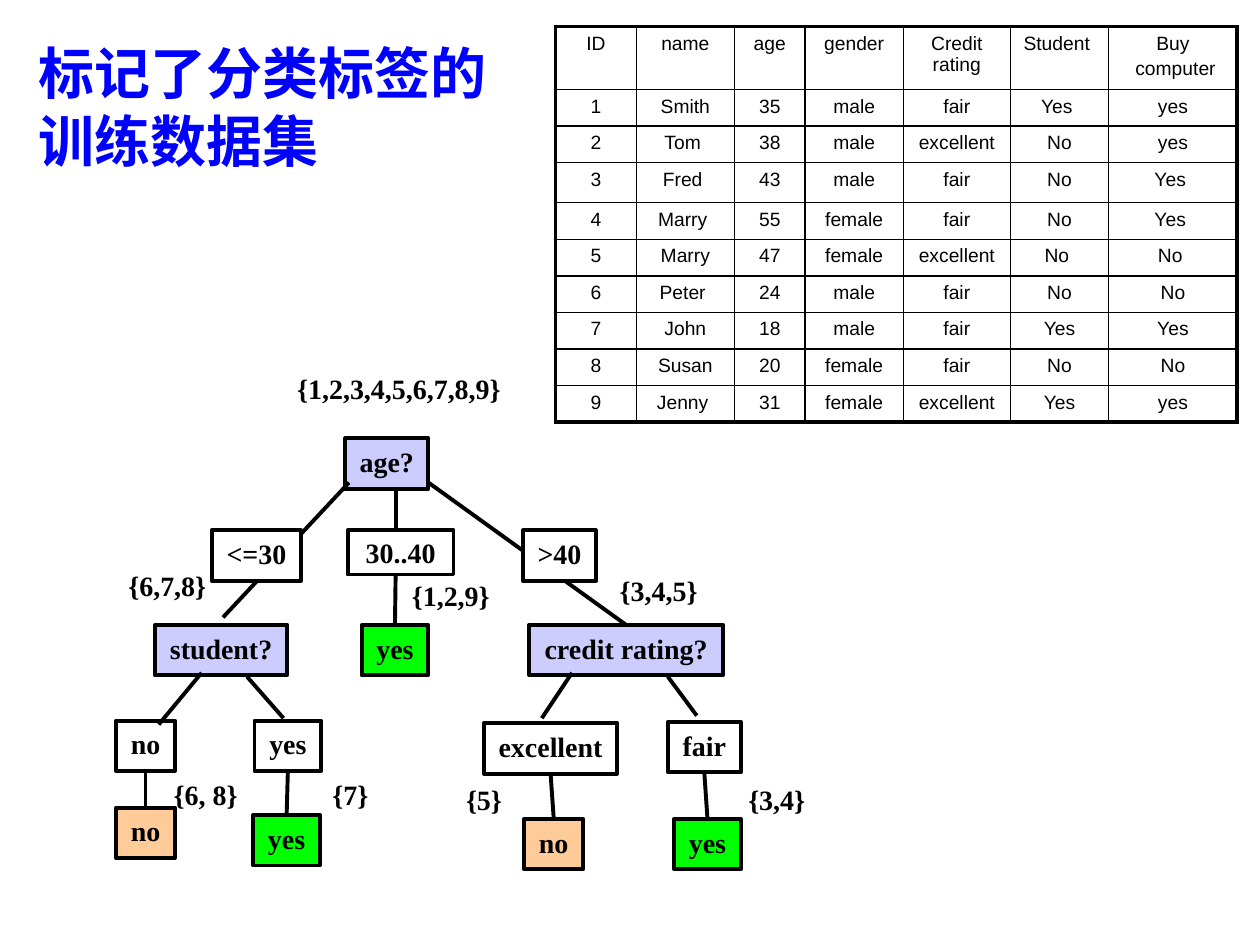
from dataclasses import dataclass
from typing import NamedTuple, Optional

from lxml.etree import SubElement
from pptx import Presentation
from pptx.dml.color import RGBColor
from pptx.enum.shapes import MSO_CONNECTOR, MSO_SHAPE
from pptx.enum.text import MSO_ANCHOR, MSO_AUTO_SIZE, PP_ALIGN
from pptx.oxml import parse_xml
from pptx.oxml.ns import nsdecls, qn
from pptx.util import Inches, Pt


@dataclass(frozen=True)
class Theme:
    black: str = "000000"
    white: str = "FFFFFF"
    title: str = "0000FF"
    question: str = "CCCCFF"
    negative: str = "FFCC99"
    positive: str = "00FF00"
    title_font: str = "Noto Sans CJK JP"
    tree_font: str = "Times New Roman"
    table_font: str = "Arial"
    title_size: float = 32
    title_leading: float = 38.9
    tree_size: float = 16
    table_size: float = 11
    thick: float = 2.25
    thin: float = 1


THEME = Theme()
TOP, BOTTOM = 0, 2


class Node(NamedTuple):
    key: str
    text: str
    left: float
    top: float
    width: float
    fill: Optional[str] = None
    height: float = 0.4
    anchor: MSO_ANCHOR = MSO_ANCHOR.TOP


class Branch(NamedTuple):
    start: tuple
    end: tuple
    parent: Optional[str] = None
    child: Optional[str] = None


class Label(NamedTuple):
    text: str
    left: float
    top: float
    width: float


NODES = [
    Node("age", "age?", 2.74, 3.48, 0.66, THEME.question),
    Node("student", "student?", 1.23, 4.96, 1.05, THEME.question),
    Node("credit", "credit rating?", 4.2, 4.96, 1.54, THEME.question),
    Node("student no", "no", 0.92, 5.72, 0.47),
    Node("student yes", "yes", 2.02, 5.72, 0.53),
    Node("fair", "fair", 5.3, 5.73, 0.58),
    Node("excellent", "excellent", 3.84, 5.74, 1.06),
    Node("student no leaf", "no", 0.92, 6.41, 0.47, THEME.negative),
    Node("excellent leaf", "no", 4.16, 6.5, 0.47, THEME.negative),
    Node("student yes leaf", "yes", 2.01, 6.47, 0.53, THEME.positive),
    Node("fair leaf", "yes", 5.35, 6.5, 0.53, THEME.positive),
    Node("middle leaf", "yes", 2.87, 4.96, 0.53, THEME.positive),
]

# These lie over the long branches
AGE_RANGES = [
    Node("young", "<=30", 1.68, 4.21, 0.71, THEME.white),
    Node("older", ">40", 4.15, 4.21, 0.58, THEME.white),
    Node("middle", "30..40", 2.76, 4.21, 0.84, THEME.white, 0.35, MSO_ANCHOR.MIDDLE),
]

BRANCHES = [
    Branch((2.77, 3.83), (1.77, 4.9)),
    Branch((3.14, 3.9), (3.14, 4.33)),
    Branch((3.4, 3.83), (4.94, 4.95), child="credit"),
    Branch((1.6, 5.34), (1.26, 5.75)),
    Branch((1.96, 5.37), (2.25, 5.7)),
    Branch((4.54, 5.34), (4.3, 5.7)),
    Branch((5.3, 5.37), (5.53, 5.68)),
    Branch((3.14, 4.57), (3.14, 4.92), child="middle leaf"),
    Branch((1.15, 6.12), (1.15, 6.41), "student no", "student no leaf"),
    Branch((5.62, 6.13), (5.62, 6.5), "fair", "fair leaf"),
    Branch((4.39, 6.14), (4.39, 6.5), "excellent", "excellent leaf"),
    Branch((2.28, 6.12), (2.28, 6.47), "student yes", "student yes leaf"),
]

LABELS = [
    Label("{1,2,3,4,5,6,7,8,9}", 2.26, 2.9, 1.82),
    Label("{6,7,8}", 0.92, 4.46, 0.82),
    Label("{1,2,9}", 3.17, 4.54, 0.82),
    Label("{3,4,5}", 4.82, 4.5, 0.82),
    Label("{6, 8}", 1.28, 6.12, 0.71),
    Label("{7}", 2.54, 6.12, 0.49),
    Label("{3,4}", 5.84, 6.16, 0.65),
    Label("{5}", 3.6, 6.16, 0.49),
]

COLUMN_WIDTHS = [0.64, 0.78, 0.56, 0.78, 0.85, 0.78, 1.02]
ROW_HEIGHTS = [0.5] + [0.29] * 2 + [0.32] + [0.29] * 6
RECORDS = [
    ("ID", "name", "age", "gender", "Credit rating", "Student ", "Buy\n computer"),
    ("1", "Smith", "35", "male", "fair", "Yes ", "yes"),
    ("2", "Tom ", "38", "male", "excellent", "No", "yes"),
    ("3", "Fred ", "43", "male", "fair", "No", "Yes "),
    ("4", "Marry ", "55", "female", "fair", "No", "Yes "),
    ("5", "Marry", "47", "female", "excellent", "No ", "No "),
    ("6", "Peter ", "24", "male", "fair", "No", "No"),
    ("7", "John", "18", "male", "fair", "Yes", "Yes"),
    ("8", "Susan", "20", "female", "fair", "No", "No"),
    ("9", "Jenny ", "31", "female", "excellent", "Yes", "yes"),
]


def color(value: str) -> RGBColor:
    return RGBColor.from_string(value)


def style_paragraph(paragraph, font_name: str, size: float, value: str, bold: bool, align) -> None:
    font = paragraph.font
    font.name, font.size, font.bold = font_name, Pt(size), bold
    font.color.rgb = color(value)
    paragraph.alignment = align


def write_tree_text(shape, text: str, align) -> None:
    frame = shape.text_frame
    frame.text, frame.word_wrap = text, False
    style_paragraph(frame.paragraphs[0], THEME.tree_font, THEME.tree_size, THEME.black, True, align)


def draw_node(slide, node: Node):
    shape = slide.shapes.add_shape(
        MSO_SHAPE.RECTANGLE, Inches(node.left), Inches(node.top), Inches(node.width), Inches(node.height))
    shape.shadow.inherit = False
    if node.fill:
        shape.fill.solid()
        shape.fill.fore_color.rgb = color(node.fill)
    else:
        shape.fill.background()
    shape.line.color.rgb, shape.line.width = color(THEME.black), Pt(THEME.thick)
    write_tree_text(shape, node.text, PP_ALIGN.CENTER)
    shape.text_frame.vertical_anchor = node.anchor
    return shape


def draw_branch(slide, branch: Branch, shapes: dict) -> None:
    connector = slide.shapes.add_connector(
        MSO_CONNECTOR.STRAIGHT, *(Inches(value) for value in branch.start + branch.end))
    connector.line.color.rgb, connector.line.width = color(THEME.black), Pt(THEME.thick)
    SubElement(connector._element.spPr, qn("a:effectLst"))
    if branch.parent:
        connector.begin_connect(shapes[branch.parent], BOTTOM)
    if branch.child:
        connector.end_connect(shapes[branch.child], TOP)


def draw_label(slide, label: Label) -> None:
    box = slide.shapes.add_textbox(Inches(label.left), Inches(label.top), Inches(label.width), Inches(0.37))
    write_tree_text(box, label.text, PP_ALIGN.LEFT)


def set_borders(cell, row: int, column: int) -> None:
    outer = {"L": column == 0, "R": column == len(COLUMN_WIDTHS) - 1,
             "T": row == 0, "B": row == len(RECORDS) - 1}
    properties = cell._tc.get_or_add_tcPr()
    for index, (side, is_outer) in enumerate(outer.items()):
        width = Pt(THEME.thick if is_outer else THEME.thin)
        properties.insert(index, parse_xml(
            f'<a:ln{side} {nsdecls("a")} w="{width}"><a:solidFill>'
            f'<a:srgbClr val="{THEME.black}"/></a:solidFill></a:ln{side}>'))


def draw_table(slide) -> None:
    table = slide.shapes.add_table(
        len(RECORDS), len(COLUMN_WIDTHS), Inches(4.41), Inches(0.21),
        Inches(sum(COLUMN_WIDTHS)), Inches(sum(ROW_HEIGHTS))).table
    table.first_row = table.horz_banding = False
    for column, width in zip(table.columns, COLUMN_WIDTHS):
        column.width = Inches(width)
    for row_index, (record, height) in enumerate(zip(RECORDS, ROW_HEIGHTS)):
        table.rows[row_index].height = Inches(height)
        for column_index, text in enumerate(record):
            cell = table.cell(row_index, column_index)
            cell.text = text
            cell.fill.solid()
            cell.fill.fore_color.rgb = color(THEME.white)
            set_borders(cell, row_index, column_index)
            for paragraph in cell.text_frame.paragraphs:
                style_paragraph(paragraph, THEME.table_font, THEME.table_size, THEME.black, False, PP_ALIGN.CENTER)
                paragraph.space_before = Pt(0.2 * THEME.table_size)


def draw_title(slide) -> None:
    frame = slide.shapes.add_textbox(Inches(0.21), Inches(0.21), Inches(3.9), Inches(1.18)).text_frame
    frame.word_wrap, frame.auto_size, frame.margin_top = True, MSO_AUTO_SIZE.NONE, Inches(0.09)
    paragraph = frame.paragraphs[0]
    run = paragraph.add_run()
    run.text = "标记了分类标签的训练数据集"
    style_paragraph(paragraph, THEME.title_font, THEME.title_size, THEME.title, True, PP_ALIGN.LEFT)
    paragraph.line_spacing = Pt(THEME.title_leading)
    # East Asian text takes its own typeface
    SubElement(run.font._element, qn("a:ea")).set("typeface", THEME.title_font)


def main() -> None:
    presentation = Presentation()
    presentation.slide_width, presentation.slide_height = Inches(10), Inches(7.5)
    slide = presentation.slides.add_slide(presentation.slide_layouts[6])
    # Decision tree
    shapes = {node.key: draw_node(slide, node) for node in NODES}
    for branch in BRANCHES:
        draw_branch(slide, branch, shapes)
    for node in AGE_RANGES:
        draw_node(slide, node)
    # Training data, title and record sets
    draw_table(slide)
    draw_title(slide)
    for label in LABELS:
        draw_label(slide, label)
    presentation.save("out.pptx")


if __name__ == "__main__":
    main()
